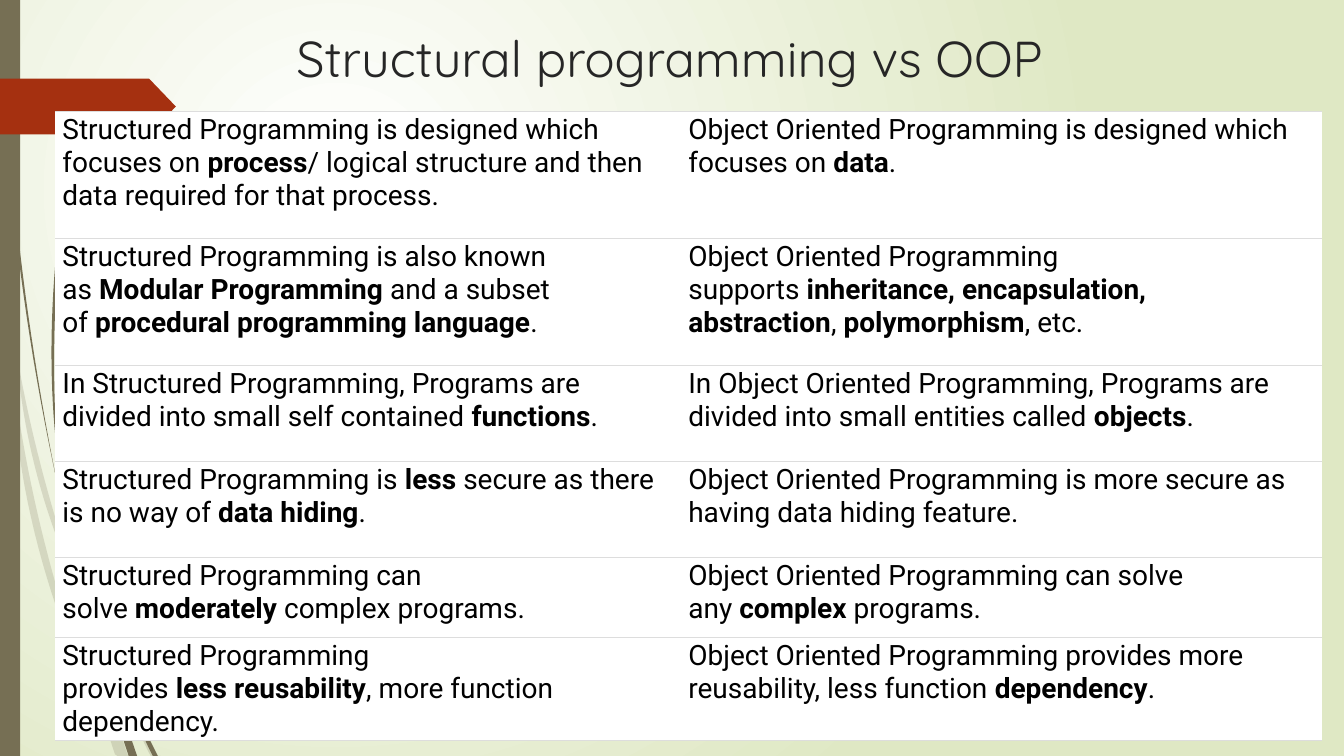
from dataclasses import dataclass
from math import pi, sin

from lxml.etree import SubElement
from pptx import Presentation
from pptx.dml.color import RGBColor
from pptx.enum.shapes import MSO_SHAPE as Preset
from pptx.enum.text import MSO_ANCHOR as Anchor, MSO_AUTO_SIZE as AutoSize, PP_ALIGN as Align
from pptx.oxml.ns import qn
from pptx.util import Pt


@dataclass(frozen=True)
class Theme:
    olive: str = "766F54"
    rust: str = "A53010"
    pale: str = "DFE8C4"
    white: str = "FFFFFF"
    rule: str = "DDDDDD"
    heading: str = "262626"
    text: str = "000000"
    title_font: str = "Quicksand"
    body_font: str = "Roboto"
    title_size: int = 36
    body_size: int = 20


@dataclass(frozen=True)
class Blade:
    """A grass blade along a curve; one that is cut keeps its full width at the end."""
    start: tuple
    bend: tuple
    end: tuple
    width: float
    cut: bool = False


THEME = Theme()
SLIDE_WIDTH, SLIDE_HEIGHT = 960, 540
BLADE_STEPS = 24

UPPER_STEM = Blade((2.5, 0), (2.7, 163), (41, 346), 1.5)
OUTER_STEM = Blade((41, 344), (45.5, 428), (84, 520), 3.6)
INNER_STEM = Blade((43, 340), (50.5, 404), (76, 464), 3)
RIGHT_LEAF = Blade((187, 248), (96, 331), (76.5, 458), 2)
LEFT_LEAF = Blade((50.4, 101.5), (29.5, 239), (43, 340), 2)
TAIL = Blade((79, 461), (95, 509), (111, 540), 3.6, cut=True)
FOOT = Blade((76, 464), (80, 497), (95, 540), 6, cut=True)
TUFT = (UPPER_STEM, OUTER_STEM, INNER_STEM, RIGHT_LEAF, TAIL, FOOT)
FAR_TUFT = {"scale": 1.49, "shift": (-53.1, -260.5), "opacity": 20}

# Asterisks enclose bold words; a tilde is a no-break space.
COMPARISON = [
    ("Structured Programming is designed which focuses on~*process*/ logical structure "
     "and then data required for that process.",
     "Object Oriented Programming is designed which focuses on~*data*."),
    ("Structured Programming is also known as~*Modular Programming*~and a subset "
     "of~*procedural programming language*.",
     "Object Oriented Programming supports~*inheritance, encapsulation, abstraction*,~"
     "*polymorphism*, etc."),
    ("In Structured Programming, Programs are divided into small self contained~*functions*.",
     "In Object Oriented Programming, Programs are divided into small entities "
     "called~*objects*."),
    ("Structured Programming is~*less*~secure as there is no way of~*data hiding*.",
     "Object Oriented Programming is more secure as having data hiding feature."),
    ("Structured Programming can solve~*moderately*~complex programs.",
     "Object Oriented Programming can solve any~*complex*~programs."),
    ("Structured Programming provides~*less~reusability*, more function dependency.",
     "Object Oriented Programming provides more reusability, less function~*dependency*."),
]
COLUMN_WIDTHS = (447.1, 457.7)
TALL, MEDIUM, SHORT = 90.4, 68.9, 56.9
ROW_HEIGHTS = (TALL, TALL, MEDIUM, MEDIUM, SHORT, MEDIUM)


def set_all(target, values):
    for name, value in values.items():
        setattr(target, name, value)


def set_font(font, name, size, color, bold=False):
    set_all(font, {"name": name, "size": Pt(size), "bold": bold})
    font.color.rgb = RGBColor.from_string(color)


def set_background(slide):
    """Spread a round gradient from the upper left quarter of the slide."""
    fill = slide.background.fill
    fill.gradient()
    for stop, color, position in zip(fill.gradient_stops, (THEME.white, THEME.pale), (0, 1)):
        stop.color.rgb = RGBColor.from_string(color)
        stop.position = position
    gradient = slide.element.find(".//" + qn("a:gradFill"))
    gradient.remove(gradient.find(qn("a:lin")))
    circle = SubElement(gradient, qn("a:path"), {"path": "circle"})
    SubElement(circle, qn("a:fillToRect"),
               {"l": "50000", "t": "50000", "r": "100000", "b": "100000"})


def paint(shape, color, opacity=100):
    shape.shadow.inherit = False
    shape.fill.solid()
    shape.fill.fore_color.rgb = RGBColor.from_string(color)
    shape.line.fill.background()
    if opacity < 100:
        color_element = shape.element.spPr.find(".//" + qn("a:srgbClr"))
        SubElement(color_element, qn("a:alpha"), {"val": str(opacity * 1000)})


def blade_outline(blade):
    """Go down the left edge of the blade and back up its right edge."""
    left, right = [], []
    for step in range(BLADE_STEPS + 1):
        t = step / BLADE_STEPS
        x, y = ((1 - t) ** 2 * start + 2 * t * (1 - t) * bend + t ** 2 * end
                for start, bend, end in zip(blade.start, blade.bend, blade.end))
        half = blade.width / 2 * sin(pi * t * (0.5 if blade.cut else 1))
        left.append((x - half, y))
        right.append((x + half, y))
    return left + right[::-1]


def add_blade(slide, blade, scale=1, shift=(0, 0), opacity=100):
    """Draw a blade, scaled and shifted, within the edges of the slide."""
    points = [(min(max(x * scale + shift[0], 0), SLIDE_WIDTH),
               min(max(y * scale + shift[1], 0), SLIDE_HEIGHT))
              for x, y in blade_outline(blade)]
    corners = [(Pt(x), Pt(y)) for x, y in points]
    builder = slide.shapes.build_freeform(*corners[0])
    builder.add_line_segments(corners[1:], close=True)
    paint(builder.convert_to_shape(), THEME.olive, opacity)


def add_decoration(slide):
    for blade in TUFT:
        add_blade(slide, blade, **FAR_TUFT)
    for blade in TUFT + (LEFT_LEAF,):
        add_blade(slide, blade)
    side_bar = slide.shapes.add_shape(Preset.RECTANGLE, 0, 0, Pt(14.4), Pt(SLIDE_HEIGHT))
    paint(side_bar, THEME.olive)
    ribbon = slide.shapes.add_shape(Preset.PENTAGON, 0, Pt(56.2), Pt(125.6), Pt(39.8))
    ribbon.adjustments[0] = 0.48
    paint(ribbon, THEME.rust)


def add_title(slide, text):
    title = slide.shapes.title
    set_all(title, {"left": Pt(204.5), "top": Pt(15.84), "width": Pt(702), "height": Pt(100.8)})
    frame = title.text_frame
    frame.text = text
    set_all(frame, {"vertical_anchor": Anchor.TOP, "word_wrap": True, "auto_size": AutoSize.NONE})
    paragraph = frame.paragraphs[0]
    paragraph.alignment = Align.LEFT
    set_font(paragraph.runs[0].font, THEME.title_font, THEME.title_size, THEME.heading)
    title.element.getparent().append(title.element)


def add_rules(cell):
    """Draw lines above and below a cell, and none at its sides."""
    properties = cell._tc.get_or_add_tcPr()
    for index, side in enumerate(("a:lnL", "a:lnR", "a:lnT", "a:lnB")):
        line = SubElement(properties, qn(side), {"w": str(Pt(0.75))})
        if side in ("a:lnT", "a:lnB"):
            SubElement(SubElement(line, qn("a:solidFill")), qn("a:srgbClr"), {"val": THEME.rule})
        else:
            SubElement(line, qn("a:noFill"))
        properties.insert(index, line)


def fill_cell(cell, marked_text):
    set_all(cell, {"margin_left": Pt(5), "margin_right": Pt(5),
                   "margin_top": Pt(1.5), "margin_bottom": Pt(1.5)})
    cell.fill.solid()
    cell.fill.fore_color.rgb = RGBColor.from_string(THEME.white)
    add_rules(cell)
    paragraph = cell.text_frame.paragraphs[0]
    for index, part in enumerate(marked_text.replace("~", chr(160)).split("*")):
        run = paragraph.add_run()
        run.text = part
        set_font(run.font, THEME.body_font, THEME.body_size, THEME.text, bold=index % 2 == 1)


def add_comparison(slide):
    frame = slide.shapes.add_table(len(COMPARISON), len(COLUMN_WIDTHS), Pt(39.6), Pt(79.9),
                                   Pt(sum(COLUMN_WIDTHS)), Pt(sum(ROW_HEIGHTS)))
    table = frame.table
    set_all(table, {"first_row": False, "horz_banding": False})
    for column, width in zip(table.columns, COLUMN_WIDTHS):
        column.width = Pt(width)
    for row, height, texts in zip(table.rows, ROW_HEIGHTS, COMPARISON):
        row.height = Pt(height)
        for cell, text in zip(row.cells, texts):
            fill_cell(cell, text)


def main():
    presentation = Presentation()
    set_all(presentation, {"slide_width": Pt(SLIDE_WIDTH), "slide_height": Pt(SLIDE_HEIGHT)})
    slide = presentation.slides.add_slide(presentation.slide_layouts[5])
    set_background(slide)
    add_decoration(slide)
    add_title(slide, "Structural programming vs OOP")
    add_comparison(slide)
    presentation.save("out.pptx")


if __name__ == "__main__":
    main()
